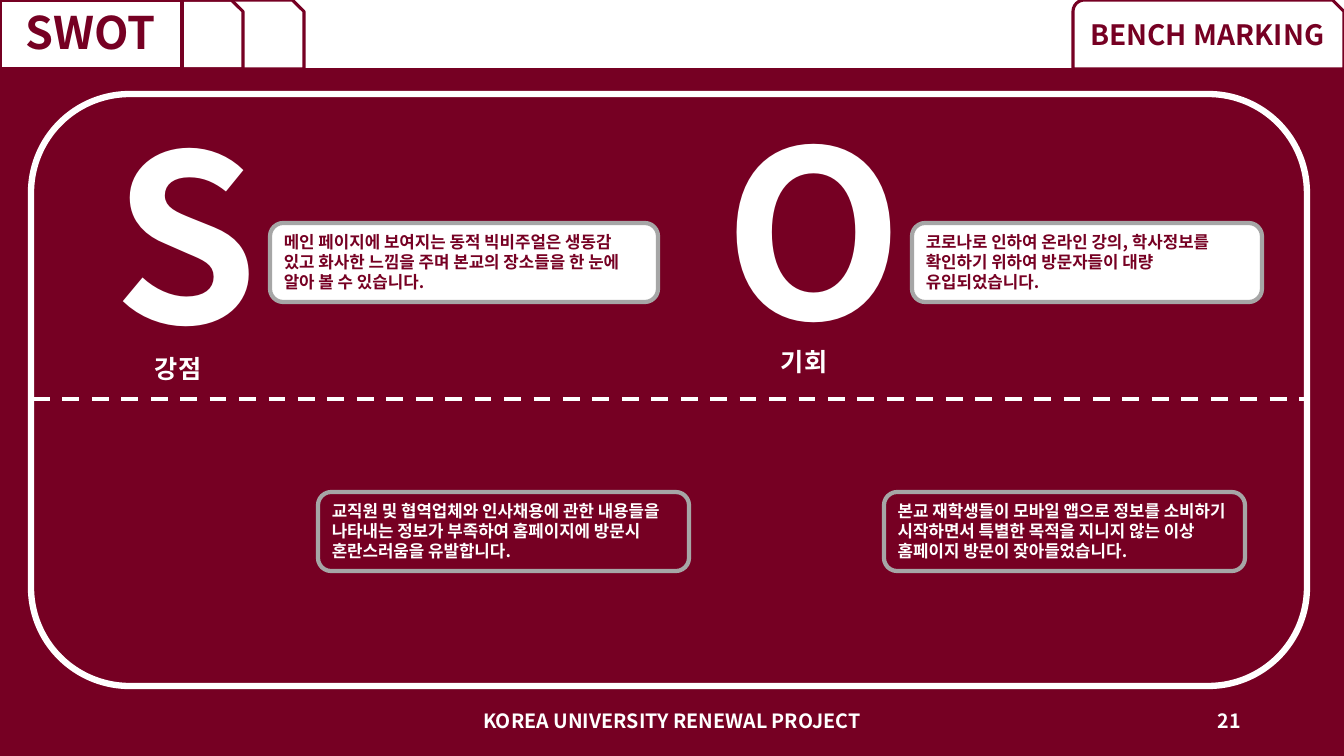
from dataclasses import dataclass
from typing import Optional

import lxml.etree
import pptx
import pptx.dml.color
import pptx.enum.dml
import pptx.enum.shapes
import pptx.enum.text
import pptx.oxml.ns
import pptx.util

RGBColor = pptx.dml.color.RGBColor
Shape = pptx.enum.shapes.MSO_SHAPE
Align = pptx.enum.text.PP_ALIGN
Anchor = pptx.enum.text.MSO_ANCHOR
qn = pptx.oxml.ns.qn

CRIMSON = RGBColor(0x76, 0x00, 0x23)
WHITE = RGBColor(0xFF, 0xFF, 0xFF)
GRAY = RGBColor(0xA6, 0xA6, 0xA6)
FONT = "Noto Sans CJK KR"
SLIDE_WIDTH, SLIDE_HEIGHT = 1344, 756
EMU_PER_PX = 12192000 / SLIDE_WIDTH
TAB_HEIGHT = 69
TAB_WIDTH = 182
TAB_STEP = 61


@dataclass(frozen=True)
class Box:
    left: int
    top: int
    width: int
    height: int


@dataclass(frozen=True)
class Label:
    text: str
    size: int
    color: RGBColor = WHITE
    align: Align = Align.LEFT
    anchor: Anchor = Anchor.TOP
    line_spacing: Optional[float] = None


@dataclass(frozen=True)
class Panel:
    kind: Shape
    box: Box
    line: RGBColor
    line_width: float
    fill: Optional[RGBColor] = None
    label: Optional[Label] = None


@dataclass(frozen=True)
class Caption:
    box: Box
    label: Label


def px(length: int) -> int:
    return round(length * EMU_PER_PX)


def place(shape, box: Box) -> None:
    for name in ("left", "top", "width", "height"):
        setattr(shape, name, px(getattr(box, name)))


def write_label(shape, label: Label) -> None:
    frame = shape.text_frame
    frame_format = {
        "word_wrap": True,
        "auto_size": pptx.enum.text.MSO_AUTO_SIZE.NONE,
        "vertical_anchor": label.anchor,
    }
    for name, value in frame_format.items():
        setattr(frame, name, value)
    paragraph = frame.paragraphs[0]
    paragraph.alignment = label.align
    paragraph.line_spacing = label.line_spacing
    run = paragraph.add_run()
    run.text = label.text
    font_format = {"name": FONT, "size": pptx.util.Pt(label.size), "bold": True}
    for name, value in font_format.items():
        setattr(run.font, name, value)
    run.font.color.rgb = label.color
    east_asian = lxml.etree.Element(qn("a:ea"), typeface=FONT)
    run.font._element.find(qn("a:latin")).addnext(east_asian)


def style_panel(shape, panel: Panel) -> None:
    if panel.fill is None:
        shape.fill.background()
    else:
        shape.fill.solid()
        shape.fill.fore_color.rgb = panel.fill
    shape.line.color.rgb = panel.line
    shape.line.width = pptx.util.Pt(panel.line_width)
    if panel.label is not None:
        write_label(shape, panel.label)


def add_panel(slide, panel: Panel):
    shape = slide.shapes.add_shape(panel.kind, 0, 0, 0, 0)
    shape.shadow.inherit = False
    place(shape, panel.box)
    style_panel(shape, panel)
    return shape


def add_caption(slide, caption: Caption) -> None:
    shape = slide.shapes.add_textbox(0, 0, 0, 0)
    place(shape, caption.box)
    write_label(shape, caption.label)


def add_divider(slide, left: int, right: int, y: int) -> None:
    divider = slide.shapes.add_connector(
        pptx.enum.shapes.MSO_CONNECTOR.STRAIGHT, px(left), px(y), px(right), px(y))
    divider.line.color.rgb = WHITE
    divider.line.width = pptx.util.Pt(3)
    divider.line.dash_style = pptx.enum.dml.MSO_LINE.DASH
    lxml.etree.SubElement(divider.element.spPr, qn("a:effectLst"))


def tab(left: int, width: int, label: Optional[Label] = None) -> Panel:
    return Panel(Shape.SNIP_ROUND_RECTANGLE, Box(left, 0, width, TAB_HEIGHT),
                 CRIMSON, 2.25, label=label)


def note(box: Box, text: str, fill: Optional[RGBColor] = None) -> Panel:
    color = WHITE if fill is None else CRIMSON
    return Panel(Shape.ROUNDED_RECTANGLE, box, GRAY, 3, fill, Label(text, 12, color))


def letter(box: Box, text: str) -> Caption:
    return Caption(box, Label(text, 166, align=Align.CENTER))


def footer(box: Box, text: str, align: Align) -> Caption:
    return Caption(box, Label(text, 14, align=align, anchor=Anchor.MIDDLE))


def heading(text: str, size: int) -> Label:
    return Label(text, size, CRIMSON, Align.CENTER, Anchor.MIDDLE, 0.9)


BACKDROP = [
    Panel(Shape.RECTANGLE, Box(0, TAB_HEIGHT, SLIDE_WIDTH, SLIDE_HEIGHT - TAB_HEIGHT),
          CRIMSON, 1, CRIMSON),
    tab(1073, 271, heading("BENCH MARKING", 20)),
    Panel(Shape.ROUNDED_RECTANGLE, Box(31, 94, 1276, 592), WHITE, 4.5),
    tab(TAB_STEP, TAB_WIDTH),
    tab(2 * TAB_STEP, TAB_WIDTH),
]
TITLE = Panel(Shape.RECTANGLE, Box(0, 0, TAB_WIDTH, TAB_HEIGHT), CRIMSON, 2.25, WHITE,
              heading("SWOT", 32))
CAPTIONS = [
    footer(Box(445, 701, 454, 40), "KOREA UNIVERSITY RENEWAL PROJECT", Align.CENTER),
    footer(Box(949, 701, 302, 40), "21", Align.RIGHT),
    letter(Box(83, 86, 207, 295), "S"),
    Caption(Box(145, 348, 82, 41), Label("강점", 18)),
    letter(Box(715, 82, 185, 291), "O"),
    Caption(Box(771, 341, 73, 40), Label("기회", 18)),
]
NOTES = [
    note(Box(270, 223, 388, 79),
         "메인 페이지에 보여지는 동적 빅비주얼은 생동감 있고 화사한 느낌을 주며 "
         "본교의 장소들을 한 눈에 알아 볼 수 있습니다.", WHITE),
    note(Box(318, 492, 371, 79),
         "교직원 및 협역업체와 인사채용에 관한 내용들을 나타내는 정보가 부족하여 "
         "홈페이지에 방문시 혼란스러움을 유발합니다."),
    note(Box(912, 223, 350, 79),
         "코로나로 인하여 온라인 강의, 학사정보를 확인하기 위하여 방문자들이 대량 "
         "유입되었습니다.", WHITE),
    note(Box(884, 492, 361, 79),
         "본교 재학생들이 모바일 앱으로 정보를 소비하기 시작하면서 특별한 목적을 "
         "지니지 않는 이상 홈페이지 방문이 잦아들었습니다."),
]


def main() -> None:
    presentation = pptx.Presentation()
    presentation.slide_width = px(SLIDE_WIDTH)
    presentation.slide_height = px(SLIDE_HEIGHT)
    slide = presentation.slides.add_slide(presentation.slide_layouts[5])
    backdrop = [add_panel(slide, panel) for panel in BACKDROP]
    title = slide.shapes.title
    place(title, TITLE.box)
    style_panel(title, TITLE)
    backdrop[-1].element.addnext(title.element)
    for caption in CAPTIONS:
        add_caption(slide, caption)
    for panel in NOTES:
        add_panel(slide, panel)
    add_divider(slide, 33, 1305, 399)
    presentation.save("out.pptx")


if __name__ == "__main__":
    main()
